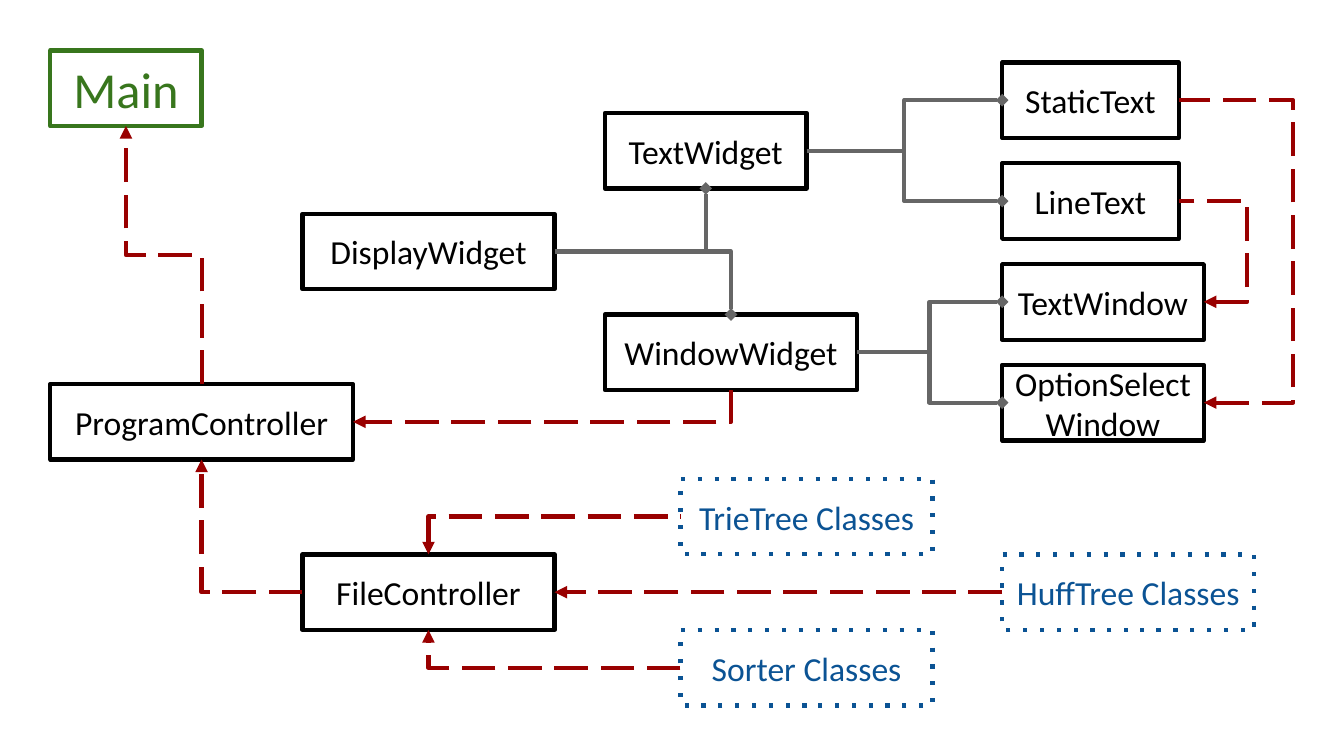
from dataclasses import dataclass
from enum import IntEnum

from lxml import etree
from pptx import Presentation
from pptx.dml.color import RGBColor
from pptx.enum import shapes as kinds
from pptx.enum import text as layout
from pptx.oxml import ns
from pptx.shapes.autoshape import Shape
from pptx.shapes.connector import Connector
from pptx.shapes.shapetree import SlideShapes
from pptx.util import Inches, Pt


@dataclass(frozen=True)
class Theme:
    font: str = "Calibri"
    class_size: int = 24
    main_size: int = 36
    stroke: float = 3
    green: str = "38761D"
    black: str = "000000"
    blue: str = "0B5394"
    red: str = "990000"
    grey: str = "666666"


THEME = Theme()


class Side(IntEnum):
    TOP = 0
    LEFT = 1
    BOTTOM = 2
    RIGHT = 3

    @property
    def vertical(self) -> bool:
        return self in (Side.TOP, Side.BOTTOM)


@dataclass(frozen=True)
class ClassBox:
    name: str
    left: float
    top: float
    width: float
    color: str = THEME.black
    size: int = THEME.class_size
    dash: str = "solid"


@dataclass(frozen=True)
class Relation:
    color: str
    dash: str
    arrow: str


@dataclass(frozen=True)
class Route:
    start: str
    start_side: Side
    end: str
    end_side: Side
    relation: Relation
    arrow_at: str = "tailEnd"
    bend: float = 0.5


BOX_HEIGHT = 0.75
INSET = 0.1
LEAF_LEFT = 9.94
LEAF_TOP = 0.62
LEAVES = (("StaticText", 1.75), ("LineText", 1.75),
          ("TextWindow", 2), ("OptionSelect Window", 2))
HELPERS = (("TrieTree Classes", 6.75), ("HuffTree Classes", LEAF_LEFT),
           ("Sorter Classes", 6.75))
HELPER_TOP = 4.75

BOXES = [
    ClassBox("Main", 0.5, 0.5, 1.5, THEME.green, THEME.main_size),
    ClassBox("ProgramController", 0.5, 3.81, 3),
    ClassBox("DisplayWidget", 3, 2.12, 2.5),
    ClassBox("FileController", 3, 5.5, 2.5),
    ClassBox("TextWidget", 6, 1.12, 2),
    ClassBox("WindowWidget", 6, 3.12, 2.5),
    *(ClassBox(name, LEAF_LEFT, LEAF_TOP + row, width)
      for row, (name, width) in enumerate(LEAVES)),
    *(ClassBox(name, left, HELPER_TOP + row * BOX_HEIGHT, 2.5, THEME.blue, dash="dot")
      for row, (name, left) in enumerate(HELPERS)),
]

USE = Relation(THEME.red, "lgDash", "triangle")
INHERIT = Relation(THEME.grey, "solid", "diamond")

ROUTES = [
    Route("FileController", Side.TOP, "TrieTree Classes", Side.LEFT, USE, "headEnd"),
    Route("Sorter Classes", Side.LEFT, "FileController", Side.BOTTOM, USE),
    Route("HuffTree Classes", Side.LEFT, "FileController", Side.RIGHT, USE),
    Route("FileController", Side.LEFT, "ProgramController", Side.BOTTOM, USE),
    Route("ProgramController", Side.TOP, "Main", Side.BOTTOM, USE),
    Route("TextWindow", Side.RIGHT, "LineText", Side.RIGHT, USE, "headEnd", -1.72),
    Route("OptionSelect Window", Side.RIGHT, "StaticText", Side.RIGHT, USE, "headEnd", -3.54),
    Route("DisplayWidget", Side.RIGHT, "TextWidget", Side.BOTTOM, INHERIT),
    Route("DisplayWidget", Side.RIGHT, "WindowWidget", Side.TOP, INHERIT),
    *(Route(parent, Side.RIGHT, child, Side.LEFT, INHERIT)
      for parent, children in (("TextWidget", LEAVES[:2]), ("WindowWidget", LEAVES[2:]))
      for child, _ in children),
    Route("WindowWidget", Side.BOTTOM, "ProgramController", Side.RIGHT, USE),
]


def add_child(parent: etree._Element, tag: str, **attributes: str) -> etree._Element:
    return etree.SubElement(parent, ns.qn(tag), attributes)


def style_line(owner: Shape | Connector, color: str, dash: str) -> etree._Element:
    owner.line.color.rgb = RGBColor.from_string(color)
    owner.line.width = Pt(THEME.stroke)
    outline = owner._element.spPr.find(ns.qn("a:ln"))
    add_child(outline, "a:prstDash", val=dash)
    add_child(outline, "a:round")
    return outline


def draw_box(canvas: SlideShapes, box: ClassBox) -> Shape:
    frame = canvas.add_shape(kinds.MSO_SHAPE.RECTANGLE, Inches(box.left), Inches(box.top),
                             Inches(box.width), Inches(BOX_HEIGHT))
    frame.shadow.inherit = False
    frame.fill.background()
    style_line(frame, box.color, box.dash)
    label = frame.text_frame
    label.word_wrap = True
    label.vertical_anchor = layout.MSO_ANCHOR.MIDDLE
    label.margin_left = label.margin_right = Inches(INSET)
    label.margin_top = label.margin_bottom = Inches(INSET)
    label.paragraphs[0].alignment = layout.PP_ALIGN.CENTER
    name = label.paragraphs[0].add_run()
    name.text = box.name
    name.font.name = THEME.font
    name.font.size = Pt(box.size)
    name.font.color.rgb = RGBColor.from_string(box.color)
    return frame


def turn_upright(link: Connector) -> None:
    across, down = link.end_x - link.begin_x, link.end_y - link.begin_y
    middle_x = (link.begin_x + link.end_x) // 2
    middle_y = (link.begin_y + link.end_y) // 2
    link.begin_x, link.begin_y = middle_x - down // 2, middle_y + across // 2
    link.end_x, link.end_y = link.begin_x + down, link.begin_y - across
    link._element.spPr.find(ns.qn("a:xfrm")).set("rot", str(90 * 60000))


def draw_route(canvas: SlideShapes, route: Route, frames: dict[str, Shape]) -> None:
    link = canvas.add_connector(kinds.MSO_CONNECTOR.ELBOW, 0, 0, 0, 0)
    link.begin_connect(frames[route.start], int(route.start_side))
    link.end_connect(frames[route.end], int(route.end_side))
    if route.start_side.vertical:
        turn_upright(link)
    properties = link._element.spPr
    geometry = properties.find(ns.qn("a:prstGeom"))
    if route.start_side.vertical != route.end_side.vertical:
        geometry.set("prst", "bentConnector2")
    else:
        guides = geometry.find(ns.qn("a:avLst"))
        add_child(guides, "a:gd", name="adj1", fmla=f"val {round(route.bend * 100000)}")
    outline = style_line(link, route.relation.color, route.relation.dash)
    add_child(outline, f"a:{route.arrow_at}", type=route.relation.arrow)
    add_child(properties, "a:effectLst")


def main() -> None:
    deck = Presentation()
    deck.slide_width, deck.slide_height = Inches(13.33), Inches(7.5)
    canvas = deck.slides.add_slide(deck.slide_layouts[6]).shapes
    frames = {box.name: draw_box(canvas, box) for box in BOXES}
    for route in ROUTES:
        draw_route(canvas, route, frames)
    deck.save("out.pptx")


if __name__ == "__main__":
    main()
